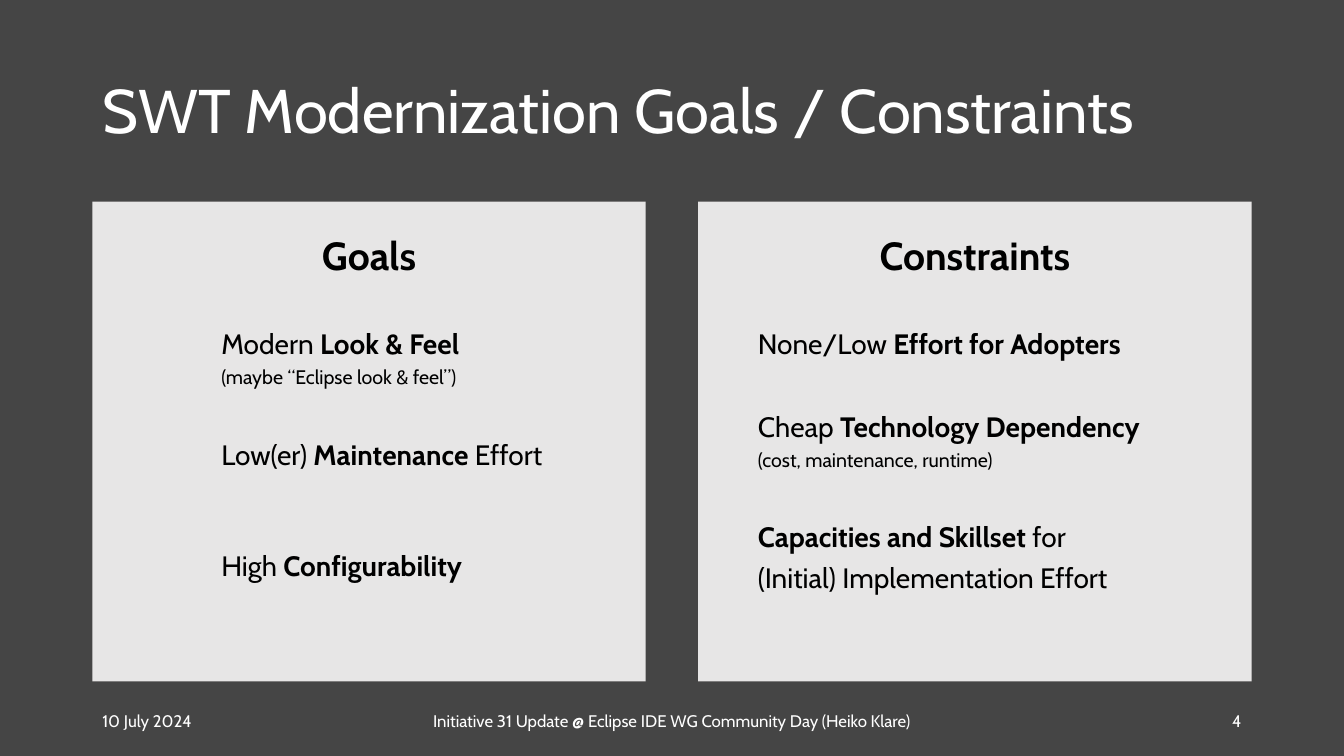
from dataclasses import dataclass

from pptx import Presentation
from pptx.dml.color import RGBColor
from pptx.enum.shapes import MSO_SHAPE
from pptx.enum.text import MSO_ANCHOR, PP_ALIGN
from pptx.util import Pt


@dataclass(frozen=True)
class Theme:
    font: str = "Cabin"
    background: RGBColor = RGBColor(0x45, 0x45, 0x45)
    panel: RGBColor = RGBColor(0xE7, 0xE6, 0xE6)
    light: RGBColor = RGBColor(0xFF, 0xFF, 0xFF)
    dark: RGBColor = RGBColor(0, 0, 0)
    title: int = 44
    heading: int = 28
    body: int = 20
    note: int = 14
    footer: int = 12


THEME = Theme()
LEFT, WIDTH = 66, 828
PANEL_TOP, PANEL_WIDTH, PANEL_HEIGHT = 144, 395.25, 342.75
ITEM_GAP = 30
WIDE_GAP = 50.5  # also leaves room for an absent note line

# Each item: lines of (text, bold, size) runs, then the space after it.
GOALS = [
    ([[("Modern ", False, THEME.body), ("Look & Feel", True, THEME.body)],
      [("(maybe “Eclipse look & feel”)", False, THEME.note)]], ITEM_GAP),
    ([[("Low(er) ", False, THEME.body), ("Maintenance", True, THEME.body),
       (" Effort", False, THEME.body)]], WIDE_GAP),
    ([[("High ", False, THEME.body), ("Configurability", True, THEME.body)]], ITEM_GAP),
]
CONSTRAINTS = [
    ([[("None/Low ", False, THEME.body), ("Effort for Adopters", True, THEME.body)]], ITEM_GAP),
    ([[("Cheap ", False, THEME.body), ("Technology Dependency", True, THEME.body)],
      [("(cost, maintenance, runtime)", False, THEME.note)]], ITEM_GAP),
    ([[("Capacities and Skillset ", True, THEME.body), ("for", False, THEME.body)],
      [("(Initial) Implementation Effort", False, THEME.body)]], ITEM_GAP),
]


def set_font(p, size, color, bold=False):
    p.font.name = THEME.font
    p.font.size = Pt(size)
    p.font.bold = bold
    p.font.color.rgb = color


def add_label(s, box, text, size, align=PP_ALIGN.LEFT):
    """Add one light, vertically centred line of text."""
    tf = s.shapes.add_textbox(*map(Pt, box)).text_frame
    tf.word_wrap = True
    tf.vertical_anchor = MSO_ANCHOR.MIDDLE
    p = tf.paragraphs[0]
    p.text = text
    p.alignment = align
    set_font(p, size, THEME.light)
    return p


def add_title(s, box, text):
    add_label(s, box, text, THEME.title).line_spacing = 0.9


def add_item(tf, lines, space_after, indent):
    p = tf.add_paragraph()
    p._p.get_or_add_pPr().set("marL", str(Pt(indent)))
    p.alignment = PP_ALIGN.LEFT
    p.line_spacing = 1.2
    p.space_after = Pt(space_after)
    set_font(p, THEME.body, THEME.dark)
    for i, line in enumerate(lines):
        if i:
            p.add_line_break()
        for text, bold, size in line:
            r = p.add_run()
            r.text = text
            r.font.bold = bold
            r.font.size = Pt(size)


def add_panel(s, box, heading, items, indent):
    sp = s.shapes.add_shape(MSO_SHAPE.RECTANGLE, *map(Pt, box))
    sp.shadow.inherit = False
    sp.fill.solid()
    sp.fill.fore_color.rgb = THEME.panel
    sp.line.fill.background()
    tf = sp.text_frame
    tf.word_wrap = True
    tf.vertical_anchor = MSO_ANCHOR.TOP
    tf.margin_top = Pt(14.4)
    p = tf.paragraphs[0]
    p.text = heading
    p.alignment = PP_ALIGN.CENTER
    p.line_spacing = 1.2
    p.space_after = Pt(ITEM_GAP)
    set_font(p, THEME.heading, THEME.dark, bold=True)
    for lines, space_after in items:
        add_item(tf, lines, space_after, indent)


def add_footer(s, box, date, event, number):
    left, top, width, height = box
    side, middle = 216, 366
    add_label(s, (left, top, side, height), date, THEME.footer)
    add_label(s, (left + (width - middle) / 2, top, middle, height),
              event, THEME.footer, PP_ALIGN.CENTER)
    add_label(s, (left + width - side, top, side, height),
              number, THEME.footer, PP_ALIGN.RIGHT)


def main():
    prs = Presentation()
    prs.slide_width, prs.slide_height = Pt(960), Pt(540)
    s = prs.slides.add_slide(prs.slide_layouts[6])
    s.background.fill.solid()
    s.background.fill.fore_color.rgb = THEME.background

    add_title(s, (LEFT, 28.75, WIDTH, 104.4), "SWT Modernization Goals / Constraints")
    add_panel(s, (LEFT, PANEL_TOP, PANEL_WIDTH, PANEL_HEIGHT), "Goals", GOALS, 85)
    add_panel(s, (LEFT + WIDTH - PANEL_WIDTH, PANEL_TOP, PANEL_WIDTH, PANEL_HEIGHT),
              "Constraints", CONSTRAINTS, 35.5)
    add_footer(s, (LEFT, 500.5, WIDTH, 28.75), "10 July 2024",
               "Initiative 31 Update @ Eclipse IDE WG Community Day (Heiko Klare)", "4")
    prs.save("out.pptx")


if __name__ == "__main__":
    main()
